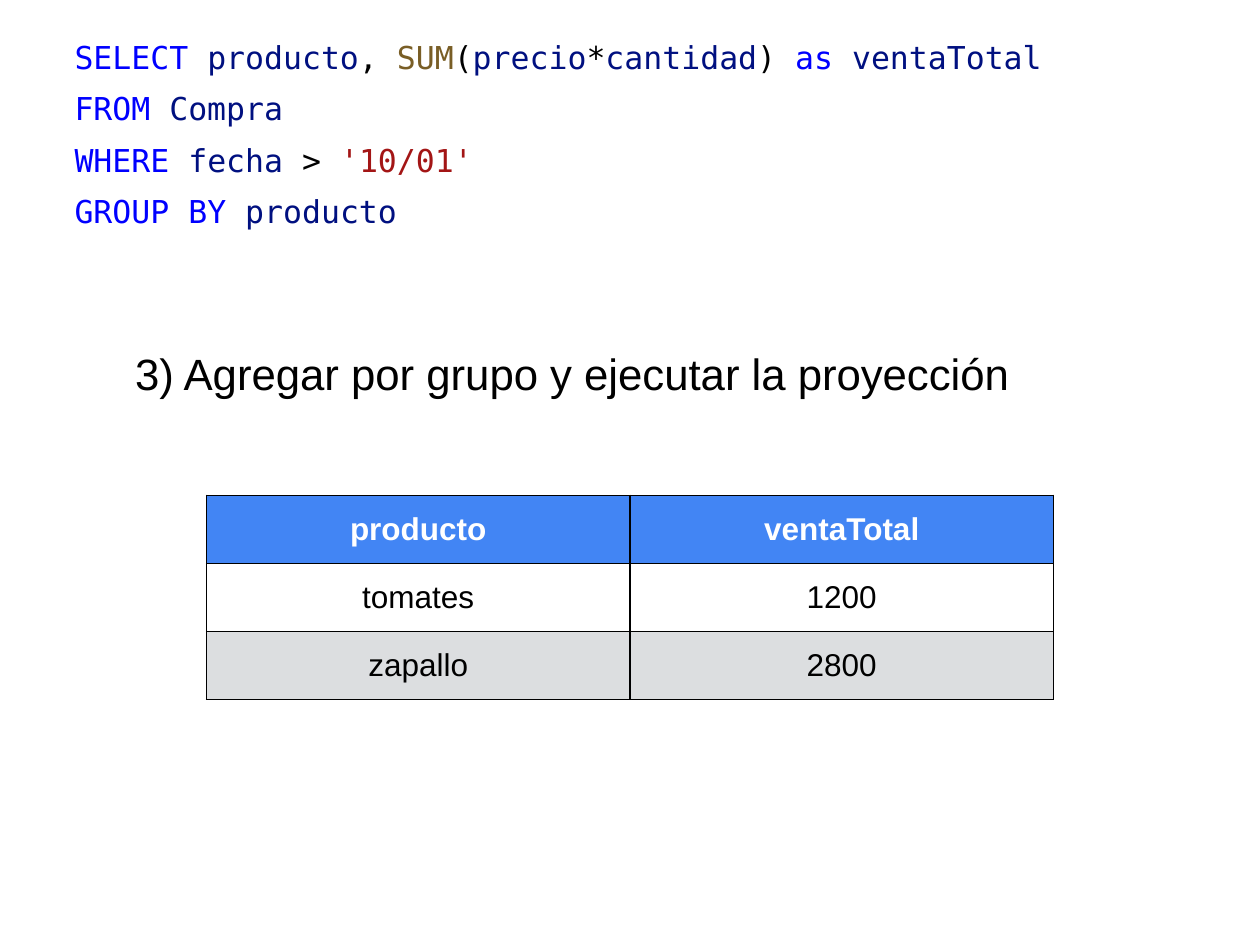
from dataclasses import dataclass

from lxml.etree import SubElement
from pptx import Presentation
from pptx.dml.color import RGBColor
from pptx.enum.text import MSO_ANCHOR, PP_ALIGN
from pptx.oxml.ns import qn
from pptx.util import Pt

COLORS = {
    "keyword": "0000FF",
    "name": "001080",
    "function": "795E26",
    "string": "A31515",
    "plain": "000000",
    "border": "000000",
    "header": "4285F4",
    "header_text": "FFFFFF",
    "odd_row": "FFFFFF",
    "even_row": "DCDEE0",
}
INSET = 3


@dataclass
class Box:
    left: float
    top: float
    width: float
    height: float

    def lengths(self):
        return [Pt(v) for v in (self.left, self.top, self.width, self.height)]


@dataclass
class Token:
    text: str
    kind: str = "plain"


QUERY = [
    [Token("SELECT", "keyword"), Token(" "), Token("producto", "name"), Token(", "),
     Token("SUM", "function"), Token("("), Token("precio", "name"), Token("*"),
     Token("cantidad", "name"), Token(") "), Token("as", "keyword"), Token(" "),
     Token("ventaTotal", "name")],
    [Token("FROM", "keyword"), Token(" "), Token("Compra", "name")],
    [Token("WHERE", "keyword"), Token(" "), Token("fecha", "name"), Token(" > "),
     Token("'10/01'", "string")],
    [Token("GROUP", "keyword"), Token(" "), Token("BY", "keyword"), Token(" "),
     Token("producto", "name")],
]
RESULT = [("producto", "ventaTotal"), ("tomates", "1200"), ("zapallo", "2800")]


def rgb(name: str) -> RGBColor:
    return RGBColor.from_string(COLORS[name])


def set_font(font, family: str, size: float) -> None:
    font.name = family
    font.size = Pt(size)


def add_text_frame(slide, box: Box, anchor, top_inset: float = INSET):
    tf = slide.shapes.add_textbox(*box.lengths()).text_frame
    tf.word_wrap = True
    tf.vertical_anchor = anchor
    tf.margin_left = tf.margin_right = tf.margin_bottom = Pt(INSET)
    tf.margin_top = Pt(top_inset)
    return tf


def add_query(slide, box: Box, lines: list[list[Token]]) -> None:
    tf = add_text_frame(slide, box, MSO_ANCHOR.TOP, top_inset=0)
    for i, line in enumerate(lines):
        p = tf.add_paragraph() if i else tf.paragraphs[0]
        p.line_spacing = 1.36
        set_font(p.font, "DejaVu Sans Mono", 18)
        for token in line:
            r = p.add_run()
            r.text = token.text
            # Run-level family keeps the code monospaced in every viewer
            set_font(r.font, "DejaVu Sans Mono", 18)
            r.font.color.rgb = rgb(token.kind)


def add_heading(slide, box: Box, text: str) -> None:
    p = add_text_frame(slide, box, MSO_ANCHOR.MIDDLE).paragraphs[0]
    p.text = text
    set_font(p.font, "Arial", 25)
    p.font.color.rgb = rgb("plain")


def set_borders(cell, width: float) -> None:
    """Outline all four sides; borders must precede the fill in the cell XML."""
    tc_pr = cell._tc.get_or_add_tcPr()
    for side in ("a:lnL", "a:lnR", "a:lnT", "a:lnB"):
        ln = SubElement(tc_pr, qn(side), w=str(Pt(width)))
        fill = SubElement(ln, qn("a:solidFill"))
        SubElement(fill, qn("a:srgbClr"), val=COLORS["border"])


def add_result_table(slide, box: Box, rows: list[tuple[str, str]]) -> None:
    table = slide.shapes.add_table(len(rows), len(rows[0]), *box.lengths()).table
    for i, row in enumerate(rows):
        fill = "header" if i == 0 else "odd_row" if i % 2 else "even_row"
        for j, text in enumerate(row):
            cell = table.cell(i, j)
            set_borders(cell, 0.75)
            cell.fill.solid()
            cell.fill.fore_color.rgb = rgb(fill)
            cell.vertical_anchor = MSO_ANCHOR.MIDDLE
            cell.margin_left = cell.margin_right = Pt(INSET)
            cell.margin_top = cell.margin_bottom = Pt(INSET)
            p = cell.text_frame.paragraphs[0]
            p.text = text
            p.alignment = PP_ALIGN.CENTER
            set_font(p.font, "Arial", 18)
            p.font.bold = i == 0
            p.font.color.rgb = rgb("plain" if i else "header_text")


def main() -> None:
    prs = Presentation()
    prs.slide_width, prs.slide_height = Pt(720), Pt(540)
    slide = prs.slides.add_slide(prs.slide_layouts[6])
    add_heading(slide, Box(74.2, 195, 571.6, 36),
                "3) Agregar por grupo y ejecutar la proyección")
    add_query(slide, Box(39.6, 14, 640.8, 146), QUERY)
    add_result_table(slide, Box(118, 283, 484, 116.6), RESULT)
    prs.save("out.pptx")


if __name__ == "__main__":
    main()
